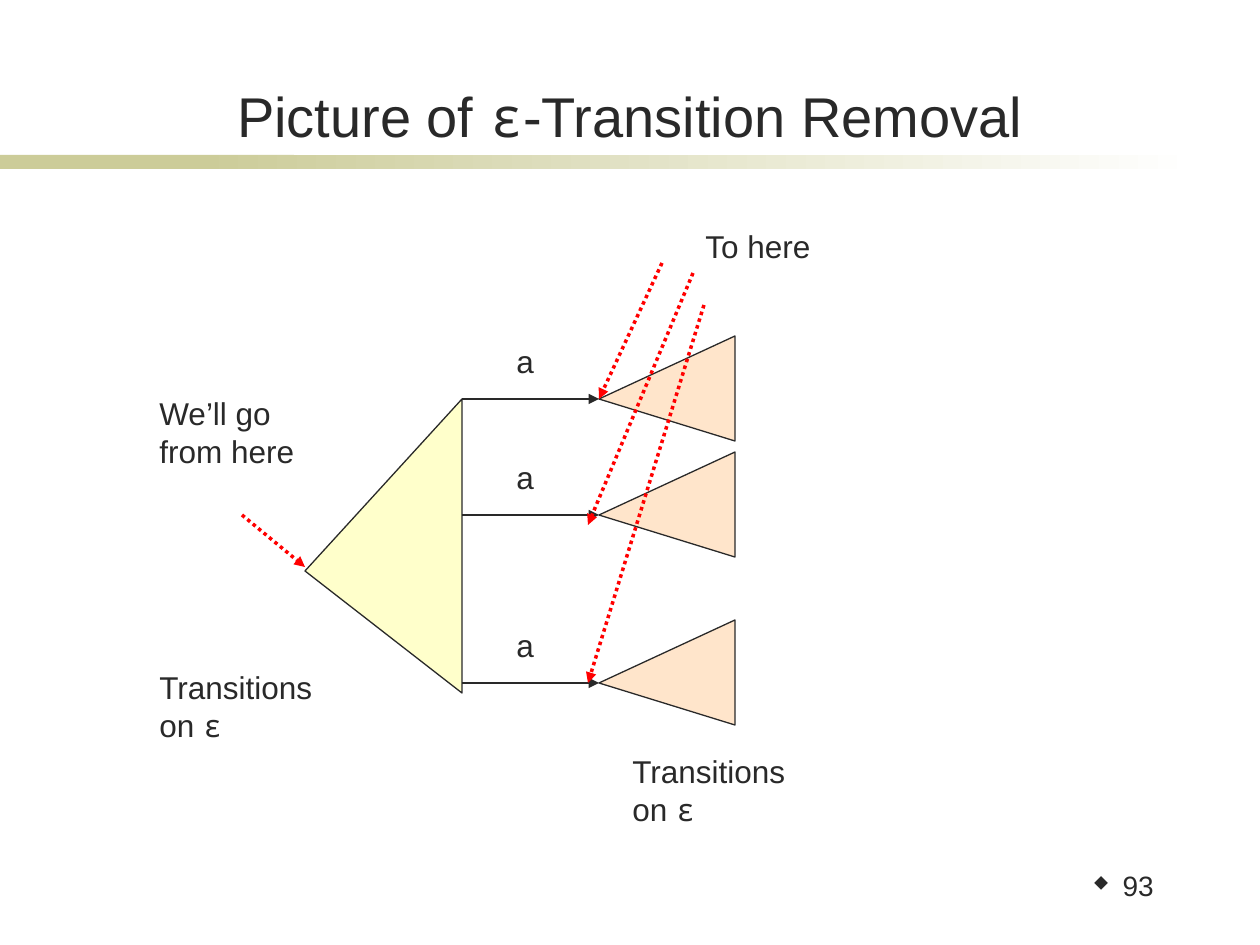
from dataclasses import dataclass
from itertools import groupby

from pptx import Presentation
from pptx import util as u
from pptx.dml.color import RGBColor
from pptx.enum import dml, shapes, text
from pptx.oxml.ns import qn
from lxml import etree

SCALE = 914400 / 126  # EMU per px


@dataclass(frozen=True)
class Theme:
    ink: str = "292929"
    band: str = "CCCC99"
    paper: str = "FFFFFF"
    source: str = "FFFF99"
    target: str = "FFCC99"
    pointer: str = "FF0000"
    font: str = "Arial"
    epsilon_font: str = "Noto Sans Mono"
    bullet_font: str = "Wingdings"
    title: int = 32
    body: int = 18
    number: int = 16


THEME = Theme()

# Content
TITLE = "Picture of ε-Transition Removal"
PAGE_NUMBER = "93"
DIAMOND = "u"  # the diamond's letter in the bullet font
CAPTIONS = [  # lines, left, top, width, height
    (["Transitions", "on ε"], 147, 662, 228, 113),
    (["Transitions", "on ε"], 620, 746, 228, 113),
    (["We’ll go", "from here"], 147, 388, 208, 113),
    (["To here"], 693, 221, 169, 63),
]
SOURCE_TRIANGLE = [(305, 571), (462, 399), (462, 693)]
BRANCH_LABEL = "a"
BRANCH_ROWS = [399, 515, 683]
BRANCH_START, BRANCH_END, TARGET_RIGHT = 462, 599, 735
POINTERS = [  # from, to
    ((242, 515), (305, 567)),
    ((662, 263), (599, 399)),
    ((693, 273), (588, 525)),
    ((704, 305), (588, 683)),
]


def px(*values):
    return [u.Emu(round(value * SCALE)) for value in values]


def rgb(colour):
    return RGBColor.from_string(colour)


def add_text(page, lines, box, size=THEME.body, align=text.PP_ALIGN.LEFT,
             anchor=text.MSO_ANCHOR.TOP):
    frame = page.shapes.add_textbox(*px(*box)).text_frame
    frame.word_wrap = True
    frame.vertical_anchor = anchor
    for index, line in enumerate(lines):
        para = frame.add_paragraph() if index else frame.paragraphs[0]
        para.alignment = align
        for is_epsilon, letters in groupby(line, lambda letter: letter == "ε"):
            span = para.add_run()
            span.text = "".join(letters)
            span.font.name = THEME.epsilon_font if is_epsilon else THEME.font
            span.font.size = u.Pt(size)
            span.font.color.rgb = rgb(THEME.ink)
    return frame


def add_bullet(para, mark, colour, percent):
    props = para._p.get_or_add_pPr()
    tint = etree.SubElement(props, qn("a:buClr"))
    etree.SubElement(tint, qn("a:srgbClr"), val=colour)
    etree.SubElement(props, qn("a:buSzPct"), val=str(percent * 1000))
    etree.SubElement(props, qn("a:buFont"), typeface=THEME.bullet_font,
                     pitchFamily="2", charset="2")
    etree.SubElement(props, qn("a:buChar"), char=mark)


def add_band(page, *box):
    band = page.shapes.add_shape(shapes.MSO_SHAPE.RECTANGLE, *px(*box))
    band.shadow.inherit = False
    band.line.fill.background()
    return band.fill


def add_triangle(page, points, colour):
    builder = page.shapes.build_freeform(*points[0], scale=SCALE)
    builder.add_line_segments(points[1:], close=True)
    triangle = builder.convert_to_shape()
    triangle.shadow.inherit = False
    triangle.fill.solid()
    triangle.fill.fore_color.rgb = rgb(colour)
    tint = triangle._element.spPr.find(qn("a:solidFill"))[0]
    etree.SubElement(tint, qn("a:alpha"), val="50000")
    triangle.line.color.rgb = rgb(THEME.ink)
    triangle.line.width = u.Pt(0.75)


def add_arrow(page, start, end, colour=THEME.ink, width=0.75, dash=None):
    arrow = page.shapes.add_connector(
        shapes.MSO_CONNECTOR.STRAIGHT, *px(*start, *end))
    arrow.line.color.rgb = rgb(colour)
    arrow.line.width = u.Pt(width)
    if dash:
        arrow.line.dash_style = dash
    etree.SubElement(arrow.line._get_or_add_ln(), qn("a:tailEnd"), type="triangle")
    etree.SubElement(arrow._element.spPr, qn("a:effectLst"))


def main():
    deck = Presentation()
    deck.slide_width, deck.slide_height = px(1260, 945)
    page = deck.slides.add_slide(deck.slide_layouts[6])

    # Band under the title
    solid = add_band(page, 0, 155, 294, 14)
    solid.solid()
    solid.fore_color.rgb = rgb(THEME.band)
    fade = add_band(page, 199, 155, 998, 14)
    fade.gradient()
    fade.gradient_angle = 0
    for stop, position, colour in zip(
            fade.gradient_stops, (0, 1), (THEME.band, THEME.paper)):
        stop.position = position
        stop.color.rgb = rgb(colour)

    # Title and page number
    add_text(page, [TITLE], (0, 42, 1260, 113), size=THEME.title,
             align=text.PP_ALIGN.CENTER, anchor=text.MSO_ANCHOR.BOTTOM)
    number = add_text(page, [PAGE_NUMBER], (1037, 866, 129, 63),
                      size=THEME.number, align=text.PP_ALIGN.RIGHT).paragraphs[0]
    number.line_spacing = 0.9
    number.space_before = u.Pt(0.2 * THEME.number)
    add_bullet(number, DIAMOND, THEME.ink, 60)

    # Source triangle, then each branch to its target triangle
    add_triangle(page, SOURCE_TRIANGLE, THEME.source)
    for row in BRANCH_ROWS:
        add_arrow(page, (BRANCH_START, row), (BRANCH_END, row))
        add_text(page, [BRANCH_LABEL], (504, row - 63, 48, 63))
        add_triangle(page, [(BRANCH_END, row), (TARGET_RIGHT, row - 63),
                            (TARGET_RIGHT, row + 42)], THEME.target)

    # Captions and dotted pointers
    for lines, *box in CAPTIONS:
        add_text(page, lines, box)
    for start, end in POINTERS:
        add_arrow(page, start, end, colour=THEME.pointer, width=2,
                  dash=dml.MSO_LINE.ROUND_DOT)

    deck.save("out.pptx")


if __name__ == "__main__":
    main()
